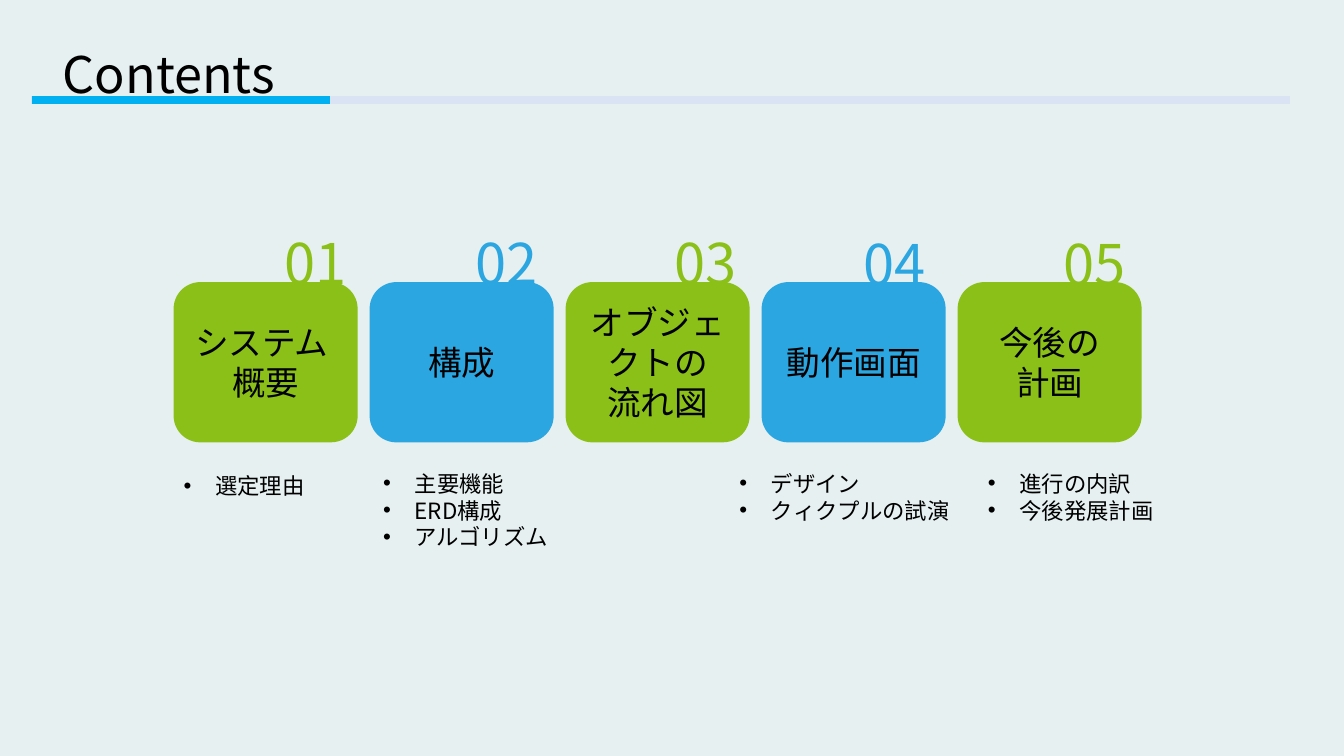
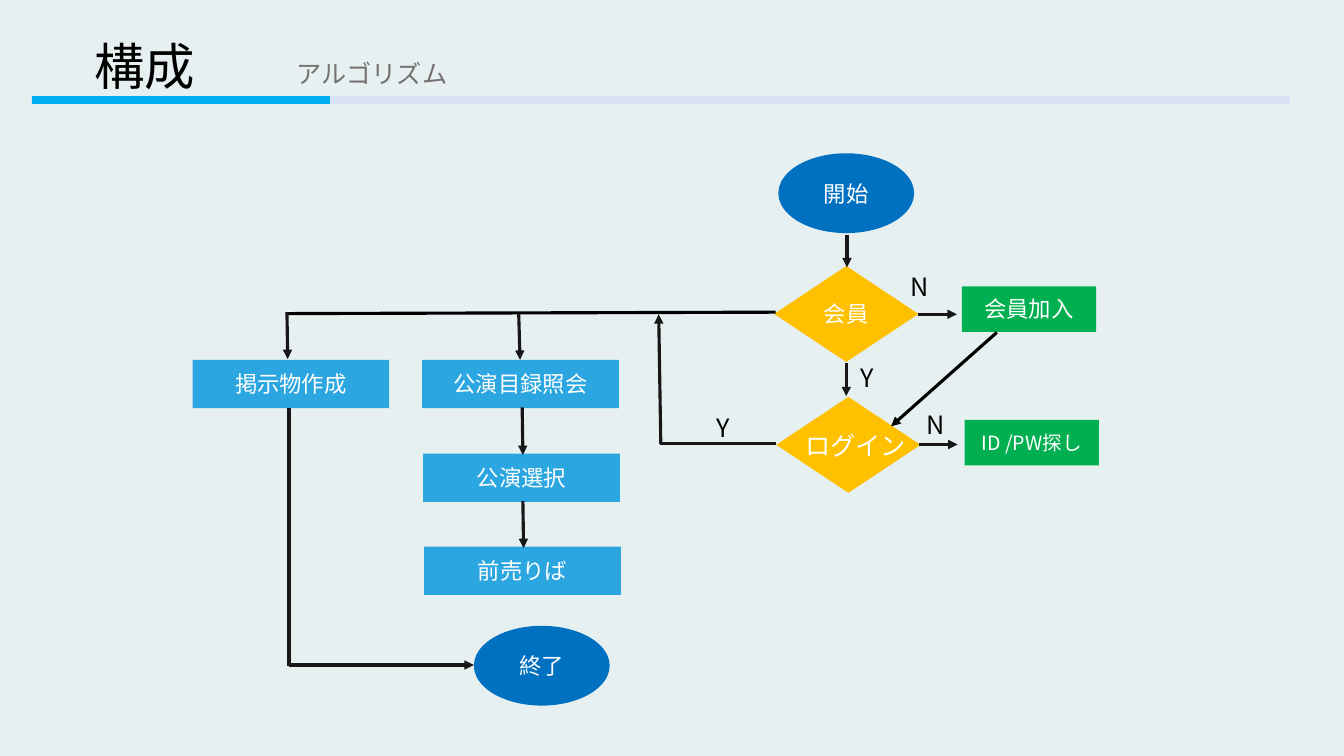
from lxml import etree
from pptx import Presentation
from pptx.dml.color import RGBColor
from pptx.enum import shapes, text
from pptx.oxml import ns
from pptx.util import Pt

FACE = "Noto Sans CJK KR"
BLACK, WHITE, INK = "000000", "FFFFFF", "181717"
LIME, SKY, NAVY, GOLD, GREEN = "8BC018", "2BA6E1", "0070C0", "FFC000", "00B050"
KIND, SIDE = shapes.MSO_SHAPE, text.PP_ALIGN
FREE = {
    "word_wrap": False,
    "auto_size": text.MSO_AUTO_SIZE.SHAPE_TO_FIT_TEXT,
    "vertical_anchor": text.MSO_ANCHOR.TOP,
}
HELD = {
    "word_wrap": True,
    "auto_size": text.MSO_AUTO_SIZE.NONE,
    "vertical_anchor": text.MSO_ANCHOR.MIDDLE,
}
color = RGBColor.from_string


def write(shape, spot, words, size, tint, form=FREE, side=SIDE.LEFT):
    for name, value in zip(("left", "top", "width", "height"), spot):
        setattr(shape, name, Pt(value))
    frame = shape.text_frame
    frame.text = words
    for name, value in form.items():
        setattr(frame, name, value)
    for para in frame.paragraphs:
        para.alignment = side
        para.space_before = Pt(0)
        for run in para.runs:
            look = {"name": FACE, "size": Pt(size), "bold": False}
            for name, value in look.items():
                setattr(run.font, name, value)
            run.font.color.rgb = color(tint)
            props = run._r.get_or_add_rPr()
            etree.SubElement(props, ns.qn("a:ea"), typeface=FACE)


def link(slide, ends, tint, width, head=False):
    line = slide.shapes.add_connector(
        shapes.MSO_CONNECTOR.STRAIGHT, *[Pt(n) for n in ends])
    line.line.color.rgb = color(tint)
    line.line.width = Pt(width)
    if head:
        stroke = line.line._get_or_add_ln()
        etree.SubElement(stroke, ns.qn("a:tailEnd"), type="triangle")
    etree.SubElement(line._element.spPr, ns.qn("a:effectLst"))
    return line


deck = Presentation()
deck.slide_width, deck.slide_height = Pt(960), Pt(540)
master = deck.slide_master
master.background.fill.solid()
master.background.fill.fore_color.rgb = color("E6F0F1")

menu = deck.slides.add_slide(deck.slide_layouts[4])
flow = deck.slides.add_slide(deck.slide_layouts[5])
for left, right, tint in ((22.5, 921.5, "DAE3F3"), (23, 235.5, "00B0F0")):
    band = link(menu, (left, 71.5, right, 71.5), tint, 6)
    master.shapes.element.append(band._element)

for slide, name, spot in (
    (menu, "Contents", (37.5, 27.5, 171.5, 51)),
    (flow, "構成", (60, 21.5, 87, 51)),
):
    write(slide.shapes.title, spot, name, 36, BLACK)

cards = (
    ("システム \n概要", 196, 160),
    ("構成", 332.5, 160),
    ("オブジェクトの\n流れ図", 475, 160),
    ("動作画面", 610, 160.5),
    ("今後の\n計画", 752.5, 160.5),
)
for i, (name, left, top) in enumerate(cards):
    tint = SKY if i % 2 else LIME
    card = menu.shapes.add_shape(KIND.ROUNDED_RECTANGLE, 0, 0, 0, 0)
    card.shadow.inherit = False
    card.fill.solid()
    card.fill.fore_color.rgb = color(tint)
    card.line.fill.background()
    write(card, (124 + 140 * i, 201.5, 131.5, 114.5), name, 24, BLACK,
          HELD, SIDE.CENTER)
    mark = menu.shapes.add_textbox(0, 0, 0, 0)
    write(mark, (left, top, 60, 55.5), f"{i + 1:02}", 40, tint)

lists = (
    ("選定理由", (124, 333.5, 102, 26.5)),
    ("主要機能\nERD構成\nアルゴリズム", (266.5, 332, 134, 65.5)),
    ("デザイン\nクィクプルの試演", (521, 332, 166, 46)),
    ("進行の内訳\n今後発展計画", (698.5, 332, 134, 46)),
)
bodies = list(menu.placeholders)[1:]
for body, (words, spot) in zip(bodies, lists):
    write(body, spot, words, 16, BLACK)
    for para in body.text_frame.paragraphs:
        props = para._p.get_or_add_pPr()
        props.set("marL", str(Pt(22.5)))
        props.set("indent", str(-Pt(22.5)))
        etree.SubElement(props, ns.qn("a:buFont"), typeface="Arial")
        etree.SubElement(props, ns.qn("a:buChar"), char="•")

kinds = {
    "oval": (KIND.OVAL, NAVY, 97, 57),
    "test": (KIND.FLOWCHART_DECISION, GOLD, 103, 68.5),
    "step": (KIND.RECTANGLE, SKY, 140.5, 34.5),
    "side": (KIND.RECTANGLE, GREEN, 96, 32.5),
}
nodes = (
    ("oval", 556, 109.5, "開始", 16),
    ("test", 553, 190, "会員", 16),
    ("test", 554.5, 283.5, "", 16),
    ("side", 687, 204.5, "会員加入", 16),
    ("side", 689, 300, "ID /PW探し", 14),
    ("step", 137.5, 257, "掲示物作成", 16),
    ("step", 301.5, 257, "公演目録照会", 16),
    ("step", 302.2, 324, "公演選択", 16),
    ("step", 303, 390.5, "前売りば", 16),
    ("oval", 338.5, 447, "終了", 16),
)
for kind, left, top, words, size in nodes:
    form, tint, width, height = kinds[kind]
    node = flow.shapes.add_shape(form, 0, 0, 0, 0)
    node.shadow.inherit = False
    node.fill.solid()
    node.fill.fore_color.rgb = color(tint)
    node.line.fill.background()
    write(node, (left, top, width, height), words, size, WHITE,
          HELD, SIDE.CENTER)

links = (
    ((204.5, 224, 554, 223), BLACK, False),
    ((605, 168, 605, 191), INK, True),
    ((656, 224.5, 683.5, 224.5), INK, True),
    ((604.5, 259, 604.5, 283), INK, True),
    ((656.5, 317.5, 684, 317.5), INK, True),
    ((712, 237.5, 636.5, 304.5), BLACK, True),
    ((554.5, 316.5, 471.5, 316.5), INK, False),
    ((472, 317, 470.5, 224.5), INK, True),
    ((205, 223, 205.5, 256.5), INK, True),
    ((370.5, 223.5, 371.5, 257), INK, True),
    ((373, 291, 373.5, 325), INK, True),
    ((373.5, 358, 374, 391.5), INK, True),
    ((206.5, 291.5, 206.5, 476), INK, False),
    ((206.5, 475, 338.5, 475), INK, True),
)
for ends, tint, head in links:
    link(flow, ends, tint, 2.25, head)

labels = (
    ("アルゴリズム", 205, 38, 124, "767171"),
    ("N", 643, 190, 28, BLACK),
    ("N", 654.5, 288.5, 28, BLACK),
    ("Y", 607.5, 255.5, 24.5, BLACK),
    ("Y", 504.5, 291, 24.5, BLACK),
    ("ログイン", 568, 304, 87, WHITE),
)
for words, left, top, width, tint in labels:
    label = flow.shapes.add_textbox(0, 0, 0, 0)
    write(label, (left, top, width, 29), words, 18, tint)

deck.save("out.pptx")
